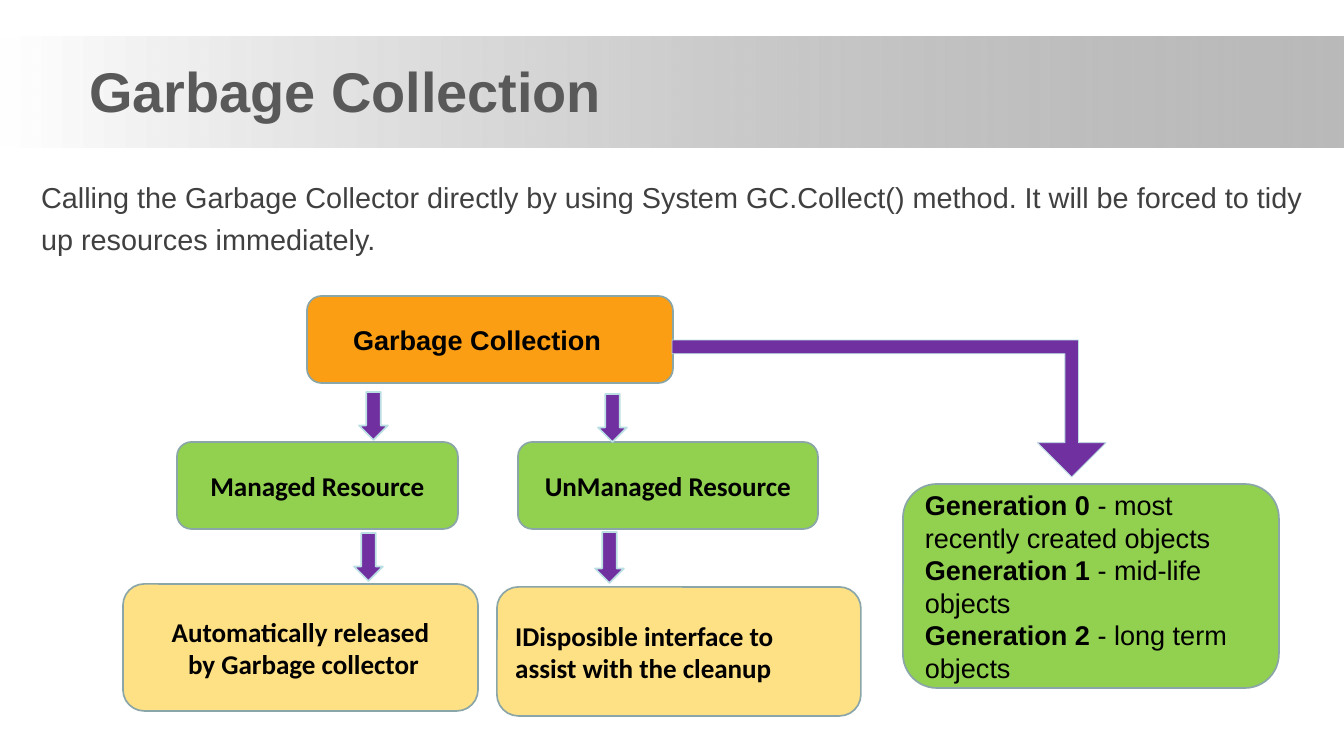
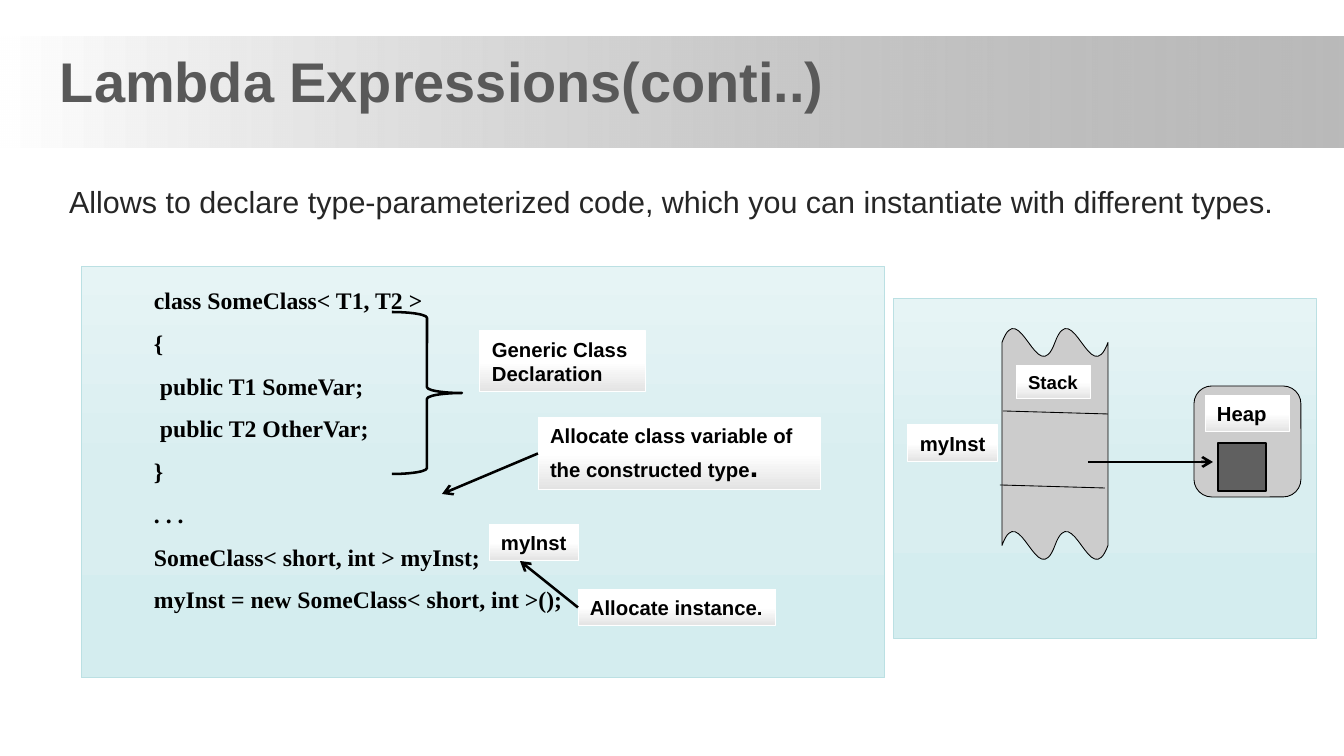
from dataclasses import dataclass

from lxml.etree import SubElement
from pptx import Presentation
from pptx.dml.color import RGBColor
from pptx.enum.shapes import MSO_CONNECTOR, MSO_SHAPE as Preset
from pptx.enum.text import MSO_ANCHOR as Anchor, MSO_AUTO_SIZE, PP_ALIGN as Align
from pptx.oxml.ns import qn
from pptx.util import Emu, Pt

EMU_PER_PX = 914400 / 122


@dataclass(frozen=True)
class Theme:
    black: str = "000000"
    white: str = "FFFFFF"
    orange: str = "FB9E13"
    green: str = "92D050"
    yellow: str = "FFE185"
    purple: str = "7030A0"
    box_line: str = "8AA6A8"
    pale_line: str = "BBE0E3"
    memory: str = "CCCCCC"
    cell: str = "606060"
    # gradient stops: position, colour, opacity in percent
    band: tuple = ((0, "FFFFFF", 100), (100, "808080", 54))
    panel: tuple = ((0, "E6F4F5", 100), (50, "D9EEF0", 100), (100, "D4EDEF", 100))
    label: tuple = ((0, "FFFFFF", 100), (50, "FFFFFF", 100), (100, "E3E3E3", 100))


THEME = Theme()
TITLE = {"name": "Arial", "size": 33, "bold": True, "color": "595959"}
LEAD = {"name": "Arial", "size": 17, "bold": False, "color": "404040"}
INTRO = LEAD | {"size": 18, "color": "262626"}
ROOT = {"name": "Arial", "size": 16, "bold": True, "color": THEME.black}
STEP = ROOT | {"name": "Calibri"}
CODE = ROOT | {"name": "Times New Roman", "size": 14}
LABEL = ROOT | {"size": 12}


def px(value):
    return Emu(round(value * EMU_PER_PX))


def place(shape, box):
    for name, value in zip(("left", "top", "width", "height"), box):
        setattr(shape, name, px(value))


def style_font(font, style):
    for name, value in style.items():
        if name == "color":
            font.color.rgb = RGBColor.from_string(value)
        else:
            setattr(font, name, Pt(value) if name == "size" else value)


def write(shape, paragraphs, style, align=Align.LEFT, spacing=1.0, **frame_format):
    """Fill a shape; a paragraph is a string or a list of (text, style changes)."""
    frame = shape.text_frame
    settings = {"auto_size": MSO_AUTO_SIZE.NONE, "word_wrap": False,
                "vertical_anchor": Anchor.TOP,
                "margin_left": px(12), "margin_right": px(12),
                "margin_top": px(6), "margin_bottom": px(6)} | frame_format
    for name, value in settings.items():
        setattr(frame, name, value)
    for index, content in enumerate(paragraphs):
        para = frame.add_paragraph() if index else frame.paragraphs[0]
        for name, value in {"alignment": align, "line_spacing": spacing,
                            "space_before": Pt(0)}.items():
            setattr(para, name, value)
        for text, changes in [(content, {})] if isinstance(content, str) else content:
            span = para.add_run()
            span.text = text
            style_font(span.font, style | changes)


def fill_gradient(shape, stops, angle):
    shape.fill.gradient()
    shape.fill.gradient_angle = -angle % 360
    stop_list = shape.element.spPr.find(".//" + qn("a:gsLst"))
    stop_list.clear()
    for position, color, opacity in stops:
        stop = SubElement(stop_list, qn("a:gs"), pos=str(position * 1000))
        paint = SubElement(stop, qn("a:srgbClr"), val=color)
        if opacity < 100:
            SubElement(paint, qn("a:alpha"), val=str(opacity * 1000))


def add_box(page, preset, box, fill=None, line=None, weight=1.0, angle=90):
    """Add a shape; fill is a colour, a tuple of gradient stops or None."""
    shape = page.shapes.add_shape(preset, *map(px, box))
    shape.shadow.inherit = False
    if fill is None:
        shape.fill.background()
    elif isinstance(fill, tuple):
        fill_gradient(shape, fill, angle)
    else:
        shape.fill.solid()
        shape.fill.fore_color.rgb = RGBColor.from_string(fill)
    if line is None:
        shape.line.fill.background()
    else:
        shape.line.color.rgb = RGBColor.from_string(line)
        shape.line.width = Pt(weight)
    return shape


def add_node(page, box, fill, paragraphs, style=STEP, align=Align.CENTER, **frame_format):
    node = add_box(page, Preset.ROUNDED_RECTANGLE, box, fill, THEME.box_line)
    write(node, paragraphs, style, align, vertical_anchor=Anchor.MIDDLE, **frame_format)


def add_label(page, box, *paragraphs, style=LABEL, wrap=False):
    label = add_box(page, Preset.RECTANGLE, box, THEME.label, THEME.white, 0.5)
    write(label, paragraphs, style, word_wrap=wrap)
    return label


def add_line(page, start, end, weight=1.5, arrow=True):
    line = page.shapes.add_connector(MSO_CONNECTOR.STRAIGHT, *map(px, start + end))
    line.line.color.rgb = RGBColor.from_string(THEME.black)
    line.line.width = Pt(weight)
    if arrow:
        SubElement(line.line._get_or_add_ln(), qn("a:tailEnd"), type="arrow")
    SubElement(line.element.spPr, qn("a:effectLst"))
    return line


def add_page(deck, title, title_box, body, body_box, style, spacing=1.0):
    page = deck.slides.add_slide(deck.slide_layouts[1])
    heading, text = page.placeholders
    place(heading, title_box)
    write(heading, [title], TITLE)
    place(text, body_box)
    write(text, [body], style, spacing=spacing, word_wrap=True)
    properties = text.text_frame.paragraphs[0]._p.get_or_add_pPr()
    properties.set("marL", "0")
    properties.set("indent", "0")
    SubElement(properties, qn("a:buNone"))
    return page


def move_band_to_master(deck, page):
    band = add_box(page, Preset.RECTANGLE, (0, 37, 1344, 111), THEME.band, angle=0)
    band.element.nvSpPr.cNvPr.set("id", "20")
    deck.slide_master.shapes.element.insert(2, band.element)


def build_collection(deck):
    page = add_page(
        deck, "Garbage Collection", (77, 51, 551, 74),
        "Calling the Garbage Collector directly by using System GC.Collect() method. "
        "It will be forced to tidy up resources immediately.",
        (29, 167, 1307, 96), LEAD, spacing=1.2)
    add_node(page, (307, 296, 366, 87), THEME.orange, ["Garbage Collection"],
             ROOT, Align.LEFT, margin_left=px(42))
    add_node(page, (518, 442, 300, 87), THEME.green, ["UnManaged Resource"])
    add_node(page, (177, 442, 281, 87), THEME.green, ["Managed Resource"])
    add_node(page, (123, 584, 355, 127), THEME.yellow,
             ["Automatically released", " by Garbage collector"])
    add_node(page, (497, 587, 364, 129), THEME.yellow,
             ["IDisposible interface to", "assist with the cleanup"], align=Align.LEFT)
    for left, top, height in ((598, 394, 48), (359, 392, 48),
                              (595, 532, 51), (354, 533, 48)):
        add_box(page, Preset.DOWN_ARROW, (left, top, 29, height),
                THEME.purple, THEME.pale_line)

    generations = []
    for number, (start, rest) in enumerate((("most", "recently created objects"),
                                            ("mid-life", "objects"),
                                            ("long term", "objects"))):
        generations += [[(f"Generation {number}", {}), (f" - {start}", {"bold": False})],
                        [(rest, {"bold": False})]]
    add_node(page, (903, 484, 376, 204), THEME.green, generations, ROOT, Align.LEFT)

    bent_arrow = add_box(page, Preset.BENT_UP_ARROW, (672, 340, 434, 137),
                         THEME.purple, THEME.pale_line, 0.5)
    bent_arrow.adjustments[0] = 0.1
    bent_arrow.rotation = 180
    bent_arrow.element.spPr.xfrm.set("flipH", "1")
    return page


def build_lambda(deck):
    page = add_page(
        deck, "Lambda Expressions(conti..)", (48, 41, 820, 74),
        "Allows to declare type-parameterized code, which you can instantiate "
        "with different types.",
        (57, 177, 1277, 81), INTRO)
    add_code(page)
    add_memory(page)


def add_code(page):
    panel = add_box(page, Preset.RECTANGLE, (81, 266, 804, 412),
                    THEME.panel, THEME.pale_line, 0.5)
    write(panel, ["class SomeClass< T1, T2 >", "{", " public T1 SomeVar;",
                  " public T2 OtherVar;", "}", ". . .",
                  "SomeClass< short, int > myInst;",
                  "myInst = new SomeClass< short, int >();"],
          CODE, spacing=1.5, margin_left=px(73))
    add_box(page, Preset.RIGHT_BRACE, (392, 312, 70, 162), None, THEME.black, 1.5)
    add_label(page, (480, 331, 166, 61), "Generic Class", "Declaration")
    variable = add_label(page, (538, 417, 282, 73),
                         [("Allocate class variable of the constructed type", {}),
                          (".", {"size": 18})], wrap=True)
    add_line(page, (538, 454), (442, 494)).begin_connect(variable, 1)
    instance = add_label(page, (578, 589, 198, 37), "Allocate instance.")
    add_line(page, (578, 608), (520, 561)).begin_connect(instance, 1)
    add_label(page, (489, 524, 90, 37), "myInst")


def add_memory(page):
    add_box(page, Preset.RECTANGLE, (893, 298, 423, 340),
            THEME.panel, THEME.pale_line, 0.5)
    add_box(page, Preset.DOUBLE_WAVE, (1002, 328, 106, 232),
            THEME.memory, THEME.black, 0.5)
    add_line(page, (1003, 411), (1108, 414), 0.5, arrow=False)
    add_label(page, (1016, 365, 74, 34), "Stack", style=LABEL | {"size": 11})
    add_box(page, Preset.ROUNDED_RECTANGLE, (1194, 386, 107, 111),
            THEME.memory, THEME.black, 0.5)
    add_box(page, Preset.RECTANGLE, (1218, 443, 48, 48), THEME.cell, THEME.black)
    add_label(page, (1205, 395, 85, 37), "Heap")
    add_line(page, (1088, 462), (1213, 462))
    add_label(page, (908, 425, 90, 37), "myInst")
    add_line(page, (1000, 485), (1105, 488), 0.5, arrow=False)


def main():
    deck = Presentation()
    deck.slide_width, deck.slide_height = px(1344), px(756)
    move_band_to_master(deck, build_collection(deck))
    build_lambda(deck)
    deck.save("out.pptx")


if __name__ == "__main__":
    main()
